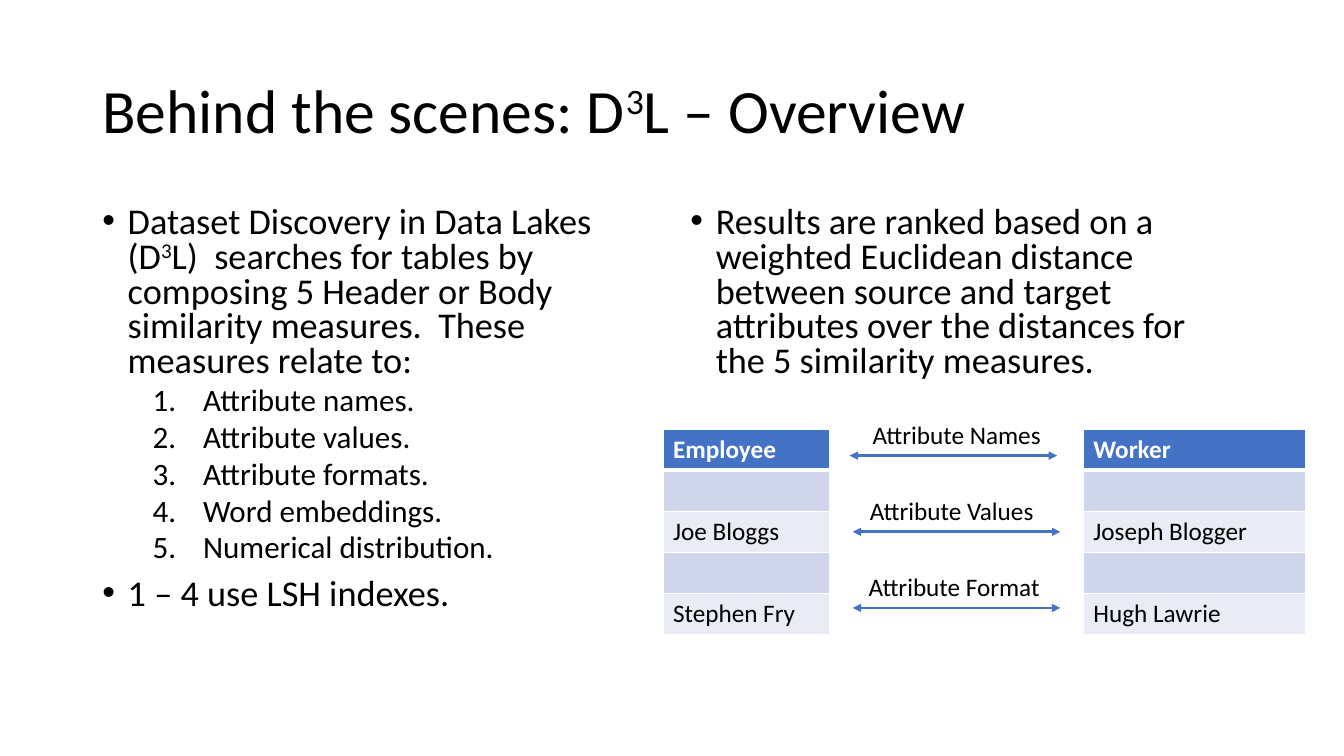
from pptx import Presentation
from pptx.dml.color import RGBColor
from pptx.enum.shapes import MSO_CONNECTOR as Connector
from pptx.enum.text import MSO_ANCHOR as Anchor
from pptx.oxml import parse_xml
from pptx.oxml.ns import nsdecls
from pptx.util import Cm, Pt

COLORS = {"text": "000000", "white": "FFFFFF", "accent": "4472C4",
          "band_dark": "CFD5EA", "band_light": "E9EBF5"}
BULLET = '<a:buFont {ns} typeface="Arial"/>', '<a:buChar {ns} char="•"/>'
NUMBER = '<a:buFont {ns} typeface="+mj-lt"/>', '<a:buAutoNum {ns} type="arabicPeriod"/>'
LEVELS = {
    "bullet": {"marks": BULLET, "left": 0.64, "hang": 0.64, "size": 25.9, "before": 10},
    "number": {"marks": NUMBER, "left": 2.54, "hang": 1.27, "size": 22.2, "before": 5},
}


def color(name):
    return RGBColor.from_string(COLORS[name])


def xml(markup):
    return parse_xml(markup.replace("{ns}", nsdecls("a")))


def style(font, size, tint="text", bold=False):
    for key, value in {"name": "Calibri", "size": Pt(size), "bold": bold}.items():
        setattr(font, key, value)
    font.color.rgb = color(tint)


def add_spans(para, text, size):
    """Write text in which every second part between ^ marks is superscript."""
    for index, part in enumerate(text.split("^")):
        span = para.add_run()
        span.text = part
        style(span.font, size)
        if index % 2:
            span._r.get_or_add_rPr().set("baseline", "30000")


def add_box(page, box, anchor=Anchor.TOP):
    frame = page.shapes.add_textbox(*map(Cm, box)).text_frame
    for key, value in {"word_wrap": True, "vertical_anchor": anchor}.items():
        setattr(frame, key, value)
    return frame


def add_title(page, box, text):
    para = add_box(page, box, Anchor.MIDDLE).paragraphs[0]
    para.line_spacing = 0.9
    add_spans(para, text, 44)


def add_list(page, box, items):
    frame = add_box(page, box)
    for index, (kind, text) in enumerate(items):
        level = LEVELS[kind]
        para = frame.add_paragraph() if index else frame.paragraphs[0]
        props = para._p.get_or_add_pPr()
        props.set("marL", str(Cm(level["left"])))
        props.set("indent", str(-Cm(level["hang"])))
        for mark in level["marks"]:
            props.append(xml(mark))
        para.line_spacing = 0.8
        para.space_before = Pt(level["before"] if index else 0)
        add_spans(para, text, level["size"])


def add_borders(cell, bottom):
    props = cell._tc.get_or_add_tcPr()
    for side, width in {"L": 1, "R": 1, "T": 1, "B": bottom}.items():
        props.append(xml(
            f'<a:ln{side} {{ns}} w="{Pt(width)}"><a:solidFill>'
            f'<a:srgbClr val="{COLORS["white"]}"/></a:solidFill></a:ln{side}>'))


def add_people(page, box, rows):
    table = page.shapes.add_table(len(rows), 1, *map(Cm, box)).table
    for index, text in enumerate(rows):
        header = index == 0
        cell = table.cell(index, 0)
        add_borders(cell, 3 if header else 1)
        cell.fill.solid()
        band = "band_dark" if index % 2 else "band_light"
        cell.fill.fore_color.rgb = color("accent" if header else band)
        para = cell.text_frame.paragraphs[0]
        if text:
            span = para.add_run()
            span.text = text
            style(span.font, 18, "white" if header else "text", header)
        else:
            para._p.get_or_add_endParaRPr().set("sz", "1800")


def add_match(page, box, label, indent):
    """Draw a double arrow along the bottom of the box, with a label above it."""
    left, top, width, height = box
    arrow = page.shapes.add_connector(
        Connector.STRAIGHT, *map(Cm, (left, top + height, left + width, top + height)))
    arrow.line.color.rgb = color("accent")
    arrow.line.width = Pt(2)
    for end in ("headEnd", "tailEnd"):
        arrow.line._get_or_add_ln().append(xml(f'<a:{end} {{ns}} type="triangle"/>'))
    arrow._element.spPr.append(xml("<a:effectLst {ns}/>"))
    frame = add_box(page, (left + indent, top, width, 1.02))
    add_spans(frame.paragraphs[0], label, 18)


def add_example(page, box):
    """Place two tables at the sides of the box and the matches between them."""
    left, top, width, height = box
    add_people(page, (left, top, 4.19, height),
               ["Employee", "", "Joe Bloggs", "", "Stephen Fry"])
    add_people(page, (left + width - 5.59, top, 5.59, height),
               ["Worker", "", "Joseph Blogger", "", "Hugh Lawrie"])
    matches = [("Attribute Names", 4.7, 0.33), ("Attribute Values", 4.78, 0.18),
               ("Attribute Format", 4.78, 0.15)]
    for index, (label, offset, indent) in enumerate(matches):
        add_match(page, (left + offset, top - 0.39 + 1.92 * index, 5.23, 1.05),
                  label, indent)


def main():
    deck = Presentation()
    deck.slide_width, deck.slide_height = Cm(33.87), Cm(19.05)
    page = deck.slides.add_slide(deck.slide_layouts[6])

    # Title
    add_title(page, (2.33, 1.02, 29.21, 3.68), "Behind the scenes: D^3^L – Overview")

    # Left column: similarity measures
    measures = ["Attribute names.", "Attribute values.", "Attribute formats.",
                "Word embeddings.", "Numerical distribution."]
    add_list(page, (2.33, 5.08, 14.4, 12.09), [
        ("bullet", "Dataset Discovery in Data Lakes (D^3^L)  searches for tables by "
                   "composing 5 Header or Body similarity measures.  "
                   "These measures relate to:"),
        *(("number", measure) for measure in measures),
        ("bullet", "1 – 4 use LSH indexes."),
    ])

    # Right column: ranking, with the matching example below
    add_list(page, (17.15, 5.08, 14.4, 4.93), [
        ("bullet", "Results are ranked based on a weighted Euclidean distance between "
                   "source and target attributes over the distances for the "
                   "5 similarity measures."),
    ])
    add_example(page, (16.71, 10.82, 16.18, 5.16))

    deck.save("out.pptx")


if __name__ == "__main__":
    main()
